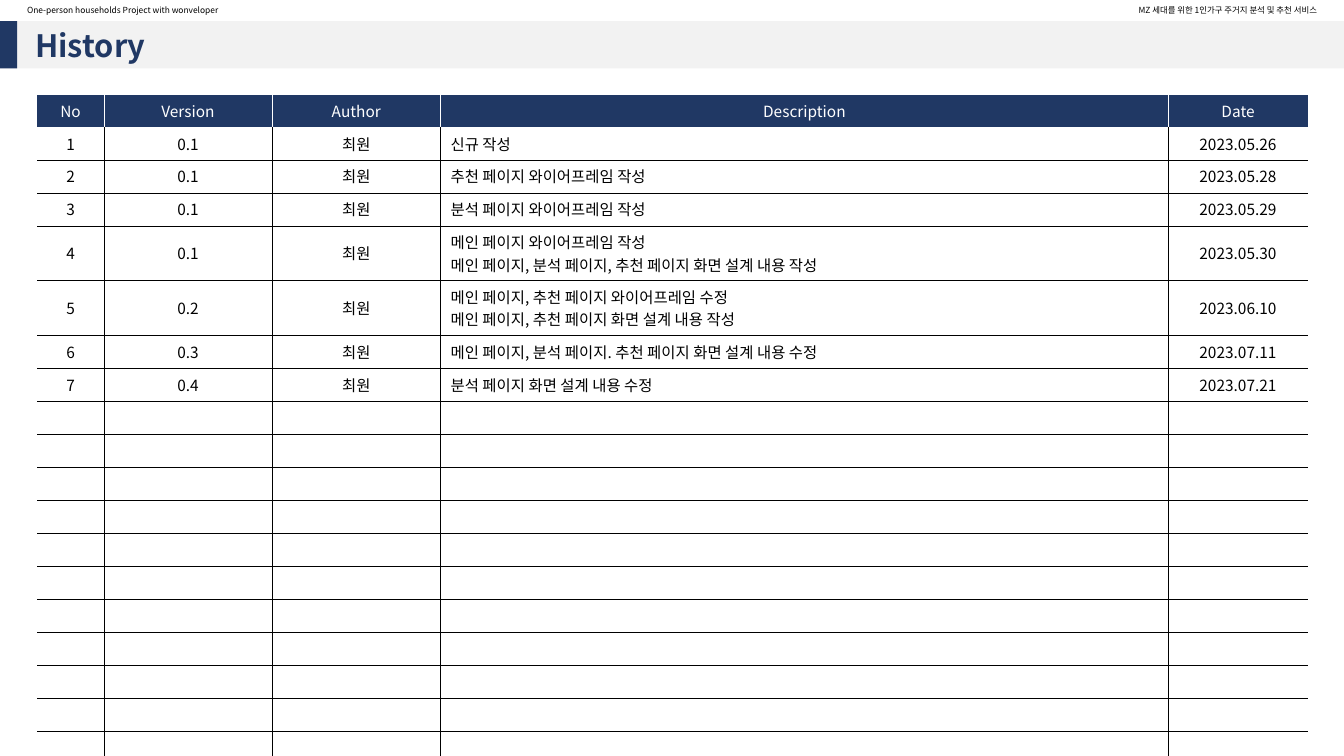
from lxml import etree
from pptx import Presentation
from pptx.dml.color import RGBColor
from pptx.enum.shapes import MSO_SHAPE
from pptx.enum.text import MSO_ANCHOR, MSO_AUTO_SIZE, PP_ALIGN
from pptx.oxml.ns import qn
from pptx.util import Inches, Pt

RECTANGLE = MSO_SHAPE.RECTANGLE
MIDDLE = MSO_ANCHOR.MIDDLE
GROW = MSO_AUTO_SIZE.SHAPE_TO_FIT_TEXT
LEFT, CENTER, RIGHT = PP_ALIGN.LEFT, PP_ALIGN.CENTER, PP_ALIGN.RIGHT

FONT = "Noto Sans CJK KR"
NAVY, GRAY, WHITE, BLACK = "203864", "F2F2F2", "FFFFFF", "000000"
CELL_SIZE = 11
THIN, THICK = 0.25, 1.5

BAND_TOP, BAND_HEIGHT = 0.21, 0.47
COLUMN_WIDTHS = [0.66, 1.67, 1.67, 7.22, 1.38]
DESCRIPTION_COLUMN = 3
ROW_COUNT = 19
AUTHOR = "최원"
HEADINGS = ["No", "Version", "Author", "Description", "Date"]
REVISIONS = [
    ("0.1", "신규 작성", "2023.05.26"),
    ("0.1", "추천 페이지 와이어프레임 작성", "2023.05.28"),
    ("0.1", "분석 페이지 와이어프레임 작성", "2023.05.29"),
    ("0.1", "메인 페이지 와이어프레임 작성\n"
            "메인 페이지, 분석 페이지, 추천 페이지 화면 설계 내용 작성", "2023.05.30"),
    ("0.2", "메인 페이지, 추천 페이지 와이어프레임 수정\n"
            "메인 페이지, 추천 페이지 화면 설계 내용 작성", "2023.06.10"),
    ("0.3", "메인 페이지, 분석 페이지. 추천 페이지 화면 설계 내용 수정", "2023.07.11"),
    ("0.4", "분석 페이지 화면 설계 내용 수정", "2023.07.21"),
]


def rgb(color):
    return RGBColor.from_string(color)


def write_text(frame, text, size, color, align, bold=False):
    frame.text = text
    for paragraph in frame.paragraphs:
        paragraph.alignment = align
        for run in paragraph.runs:
            for name, value in {"name": FONT, "size": Pt(size), "bold": bold}.items():
                setattr(run.font, name, value)
            run.font.color.rgb = rgb(color)
            etree.SubElement(run.font._element, qn("a:ea"), typeface=FONT)


def format_box(box, text, size, color, align, bold=False):
    frame = box.text_frame
    for name, value in {"word_wrap": True, "auto_size": GROW,
                        "vertical_anchor": MIDDLE}.items():
        setattr(frame, name, value)
    write_text(frame, text, size, color, align, bold)


def add_band(slide, width, color):
    band = slide.shapes.add_shape(RECTANGLE, 0, Inches(BAND_TOP),
                                  Inches(width), Inches(BAND_HEIGHT))
    band.shadow.inherit = False
    band.fill.solid()
    band.fill.fore_color.rgb = rgb(color)
    band.line.fill.background()


def add_caption(slide, left, text, align):
    caption = slide.shapes.add_textbox(Inches(left), 0, Inches(3.58), Inches(0.2))
    format_box(caption, text, 6, BLACK, align)


def place_title(slide, text):
    title = slide.shapes.title
    for name, value in {"left": 0.25, "top": BAND_TOP,
                        "width": 2.47, "height": BAND_HEIGHT}.items():
        setattr(title, name, Inches(value))
    format_box(title, text, 22, NAVY, LEFT, True)
    slide.shapes._spTree.append(title._element)


def set_border(cell, side, color, width):
    properties = cell._tc.get_or_add_tcPr()
    line = etree.SubElement(properties, qn("a:ln" + side), w=str(Pt(width)))
    if color is None:
        etree.SubElement(line, qn("a:noFill"))
    else:
        fill = etree.SubElement(line, qn("a:solidFill"))
        etree.SubElement(fill, qn("a:srgbClr"), val=color)


def format_cell(cell, row, column, text):
    is_header = row == 0
    rule = WHITE if is_header else BLACK
    borders = {
        "L": (rule if column > 0 else None, THIN),
        "R": (rule if column < len(COLUMN_WIDTHS) - 1 else None, THIN),
        "T": (WHITE if row <= 1 else BLACK, THIN),
        "B": (rule, THICK if row == ROW_COUNT - 1 else THIN),
    }
    for side, (color, width) in borders.items():
        set_border(cell, side, color, width)
    cell.fill.solid()
    cell.fill.fore_color.rgb = rgb(NAVY if is_header else WHITE)
    cell.vertical_anchor = MIDDLE
    if text:
        align = LEFT if column == DESCRIPTION_COLUMN and not is_header else CENTER
        write_text(cell.text_frame, text, CELL_SIZE, WHITE if is_header else BLACK, align)
    else:
        etree.SubElement(cell.text_frame.paragraphs[0]._p, qn("a:endParaRPr"),
                         sz=str(CELL_SIZE * 100))


def add_history_table(slide):
    table = slide.shapes.add_table(ROW_COUNT, len(COLUMN_WIDTHS), Inches(0.37), Inches(0.93),
                                   Inches(sum(COLUMN_WIDTHS)), Inches(6.22)).table
    table.horz_banding = False
    for column, width in zip(table.columns, COLUMN_WIDTHS):
        column.width = Inches(width)
    entries = [HEADINGS]
    for number, (version, description, date) in enumerate(REVISIONS, 1):
        entries.append([str(number), version, AUTHOR, description, date])
    for row in range(ROW_COUNT):
        texts = entries[row] if row < len(entries) else [""] * len(COLUMN_WIDTHS)
        for column, text in enumerate(texts):
            format_cell(table.cell(row, column), row, column, text)


def main():
    presentation = Presentation()
    presentation.slide_width = Inches(13.33)
    presentation.slide_height = Inches(7.5)
    slide = presentation.slides.add_slide(presentation.slide_layouts[5])
    add_history_table(slide)
    add_band(slide, 13.33, GRAY)
    add_band(slide, 0.17, NAVY)
    place_title(slide, "History")
    add_caption(slide, 9.58, "MZ 세대를 위한 1인가구 주거지 분석 및 추천 서비스", RIGHT)
    add_caption(slide, 0.17, "One-person households Project with wonveloper", LEFT)
    presentation.save("out.pptx")


if __name__ == "__main__":
    main()
